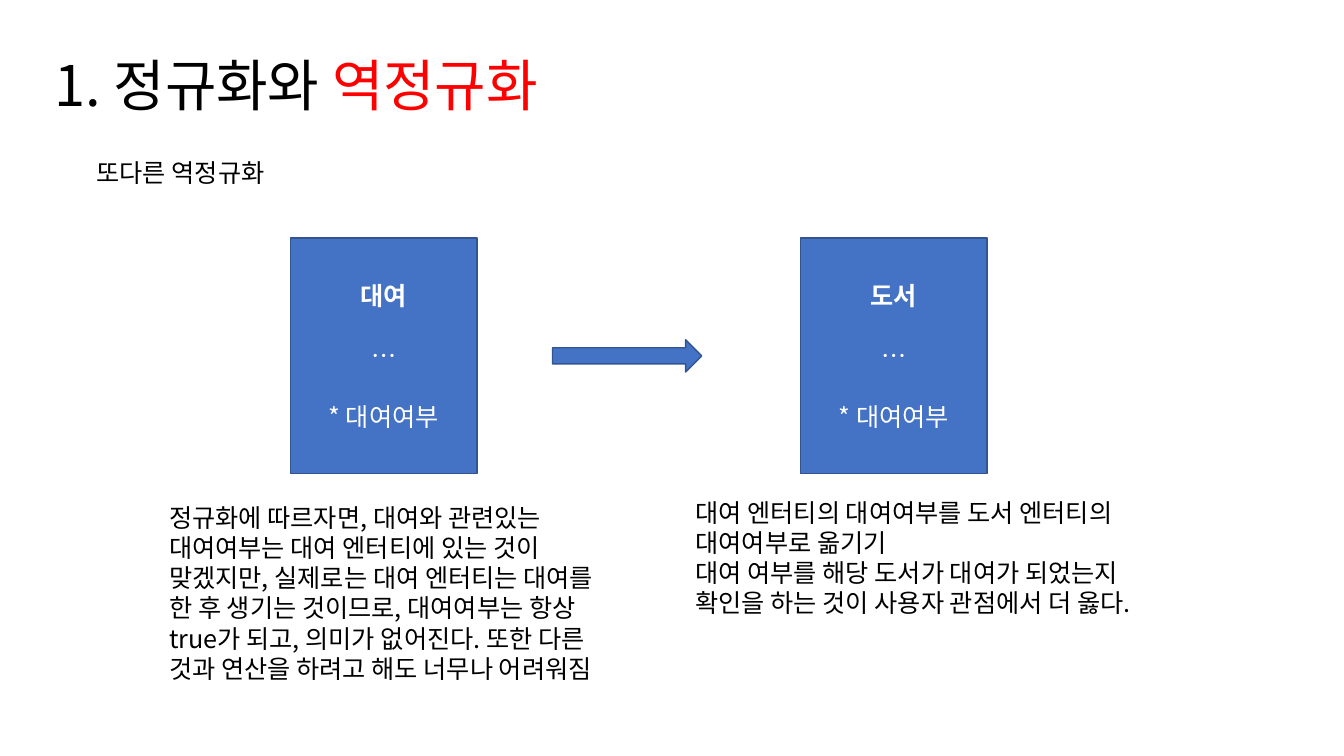
from lxml import etree
from pptx import Presentation
from pptx.dml import color
from pptx.enum import shapes, text
from pptx.oxml import ns
from pptx.util import Inches, Pt

FONT = "Noto Sans CJK KR"
BLACK, WHITE, RED = "000000", "FFFFFF", "FF0000"
BLUE, NAVY = "4472C4", "325491"


def rgb(value):
    return color.RGBColor.from_string(value)


def style(paragraph, size, shade, bold=False):
    font = paragraph.font
    font.name = FONT
    font.size = Pt(size)
    font.bold = bold
    font.color.rgb = rgb(shade)
    for run in paragraph.runs:
        properties = run._r.get_or_add_rPr()
        etree.SubElement(properties, ns.qn("a:latin")).set("typeface", FONT)
        etree.SubElement(properties, ns.qn("a:ea")).set("typeface", FONT)


def add_title(slide, plain, highlighted):
    title = slide.shapes.title
    title.left, title.top = Inches(0.44), Inches(0.45)
    title.width, title.height = Inches(6.1), Inches(0.77)
    frame = title.text_frame
    frame.auto_size = text.MSO_AUTO_SIZE.NONE
    frame.vertical_anchor = text.MSO_ANCHOR.TOP
    heading = frame.paragraphs[0]
    heading.alignment = text.PP_ALIGN.LEFT
    heading.add_run().text = plain
    accent = heading.add_run()
    accent.text = highlighted
    style(heading, 40, BLACK)
    accent.font.color.rgb = rgb(RED)


def add_note(slide, left, top, width, height, lines):
    note = slide.shapes.add_textbox(
        Inches(left), Inches(top), Inches(width), Inches(height))
    frame = note.text_frame
    frame.word_wrap = True
    frame.text = "\n".join(lines)
    for paragraph in frame.paragraphs:
        style(paragraph, 18, BLACK)


def add_block(slide, preset, left, top, width, height):
    block = slide.shapes.add_shape(
        preset, Inches(left), Inches(top), Inches(width), Inches(height))
    block.shadow.inherit = False
    block.fill.solid()
    block.fill.fore_color.rgb = rgb(BLUE)
    block.line.color.rgb = rgb(NAVY)
    block.line.width = Pt(1)
    return block


def add_entity(slide, left, name):
    entity = add_block(
        slide, shapes.MSO_SHAPE.RECTANGLE, left, 2.36, 1.85, 2.34)
    frame = entity.text_frame
    frame.vertical_anchor = text.MSO_ANCHOR.MIDDLE
    frame.text = "\n".join([name, "…", "* 대여여부"])
    for row, paragraph in enumerate(frame.paragraphs):
        paragraph.alignment = text.PP_ALIGN.CENTER
        paragraph.space_before = Pt(21.6 if row else 0)
        style(paragraph, 18, WHITE, bold=row == 0)


def main():
    deck = Presentation()
    deck.slide_width, deck.slide_height = Inches(13.33), Inches(7.5)
    slide = deck.slides.add_slide(deck.slide_layouts.get_by_name("Title Only"))

    add_title(slide, "1. 정규화와 ", "역정규화")
    add_note(slide, 0.86, 1.51, 12.2, 0.4, ["또다른 역정규화"])
    add_block(slide, shapes.MSO_SHAPE.RIGHT_ARROW, 5.48, 3.37, 1.48, 0.32)
    add_entity(slide, 2.88, "대여")
    add_entity(slide, 7.94, "도서")
    add_note(slide, 1.58, 4.93, 4.67, 2.22, [
        "정규화에 따르자면, 대여와 관련있는 대여여부는 대여 엔터티에 있는 것이 "
        "맞겠지만, 실제로는 대여 엔터티는 대여를 한 후 생기는 것이므로, "
        "대여여부는 항상 true가 되고, 의미가 없어진다. "
        "또한 다른 것과 연산을 하려고 해도 너무나 어려워짐"])
    add_note(slide, 6.8, 4.88, 4.67, 1.62, [
        "대여 엔터티의 대여여부를 도서 엔터티의 대여여부로 옮기기",
        "대여 여부를 해당 도서가 대여가 되었는지 확인을 하는 것이 "
        "사용자 관점에서 더 옳다."])

    deck.save("out.pptx")


if __name__ == "__main__":
    main()
